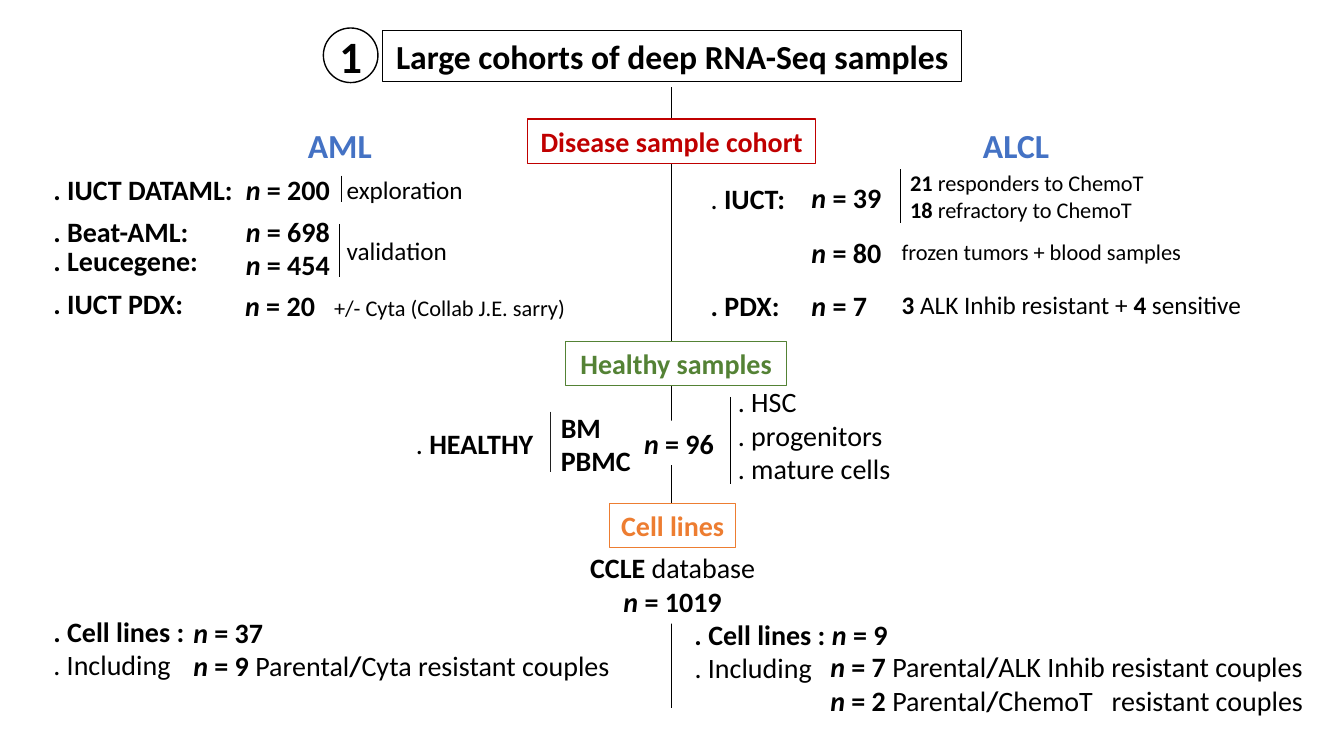
"""Build a slide that summarises RNA-Seq cohorts for AML and ALCL."""
from lxml import etree
from pptx import Presentation
from pptx.dml.color import RGBColor
from pptx.enum.shapes import MSO_CONNECTOR, MSO_SHAPE
from pptx.enum.text import MSO_ANCHOR, MSO_AUTO_SIZE, PP_ALIGN
from pptx.oxml.ns import qn
from pptx.util import Pt

LEFT, CENTER = PP_ALIGN.LEFT, PP_ALIGN.CENTER
MIDDLE = MSO_ANCHOR.MIDDLE
NO_AUTOFIT = MSO_AUTO_SIZE.NONE
OVAL = MSO_SHAPE.OVAL
STRAIGHT = MSO_CONNECTOR.STRAIGHT
FONT = "Calibri"
LINE_HEIGHT = 1.22
COLORS = {
    "black": "000000", "white": "FFFFFF", "blue": "4472C4",
    "red": "C00000", "green": "548235", "orange": "ED7D31",
}


def rgb(name):
    """Look up a named colour."""
    return RGBColor.from_string(COLORS[name])


def write(text, left, top, width, size=20, color="black", align=LEFT, gap=0,
          fill=None, outline=None, shape=None, tab=None):
    """Write text where * toggles bold and _ toggles italic."""
    lines = text.split("\n")
    if shape is None:
        shape = slide.shapes.add_textbox(0, 0, 0, 0)
    height = len(lines) * size * LINE_HEIGHT + (len(lines) - 1) * gap + 7.2
    shape.left, shape.top = Pt(left), Pt(top)
    shape.width, shape.height = Pt(width), Pt(height)
    if fill:
        shape.fill.solid()
        shape.fill.fore_color.rgb = rgb(fill)
    if outline:
        shape.line.color.rgb = rgb(outline)
        shape.line.width = Pt(0.75)
    frame = shape.text_frame
    frame.word_wrap = True
    frame.auto_size = NO_AUTOFIT
    frame.vertical_anchor = MIDDLE
    for number, line in enumerate(lines):
        paragraph = frame.add_paragraph() if number else frame.paragraphs[0]
        paragraph.alignment = align
        paragraph.line_spacing = 1.0
        paragraph.space_before = Pt(0)
        paragraph.space_after = Pt(gap if number < len(lines) - 1 else 0)
        if tab:
            properties = paragraph._p.get_or_add_pPr()
            stops = etree.SubElement(properties, qn("a:tabLst"))
            etree.SubElement(stops, qn("a:tab"), pos=str(Pt(tab)), algn="l")
        for bold_index, chunk in enumerate(line.split("*")):
            for italic_index, piece in enumerate(chunk.split("_")):
                if piece:
                    run = paragraph.add_run()
                    run.text = piece
                    run.font.name = FONT
                    run.font.size = Pt(size)
                    run.font.bold = bold_index % 2 == 1
                    run.font.italic = italic_index % 2 == 1
                    run.font.color.rgb = rgb(color)


presentation = Presentation()
presentation.slide_width, presentation.slide_height = Pt(960), Pt(540)
slide = presentation.slides.add_slide(presentation.slide_layouts[5])

write("*Large cohorts of deep RNA-Seq samples*", 273.5, 21.5, 413.5, size=24,
      align=CENTER, fill="white", outline="black", shape=slide.shapes.title)

dividers = [
    (479.5, 62.5, 506), (242.5, 160, 198), (243.5, 125.5, 144.5),
    (521.5, 283.5, 345.5), (643, 121, 159), (393, 294, 337.5),
]
for x, top, bottom in dividers:
    divider = slide.shapes.add_connector(STRAIGHT, Pt(x), Pt(top), Pt(x), Pt(bottom))
    divider.line.color.rgb = rgb("black")
    divider.line.width = Pt(0.5)
    etree.SubElement(divider._element.spPr, qn("a:effectLst"))

badge = slide.shapes.add_shape(OVAL, Pt(231), Pt(20), Pt(39), Pt(39))
badge.shadow.inherit = False
badge.fill.background()
badge.line.color.rgb = rgb("black")
badge.line.width = Pt(1)
badge_frame = badge.text_frame
badge_frame.margin_left = badge_frame.margin_right = 0
badge_frame.margin_top = badge_frame.margin_bottom = 0
badge_frame.vertical_anchor = MIDDLE
badge_paragraph = badge_frame.paragraphs[0]
badge_paragraph.alignment = CENTER
badge_paragraph.text = "1"
badge_paragraph.font.name = FONT
badge_paragraph.font.size = Pt(32)
badge_paragraph.font.bold = True
badge_paragraph.font.color.rgb = rgb("black")

for heading, left, width in [("*AML*", 211.5, 62.5), ("*ALCL*", 694, 63.5)]:
    write(heading, left, 85.5, width, size=24, color="blue", align=CENTER)

sections = [
    ("*Disease sample cohort*", 377, 85, 205.5, "red"),
    ("*Healthy samples*", 404, 244, 158, "green"),
    ("*Cell lines*", 435.5, 359.5, 90, "orange"),
]
write("*CCLE *database\n*_n_ = 1019*", 331, 389.5, 299, align=CENTER, fill="white")
for section, left, top, width, color in sections:
    write(section, left, top, width, color=color, align=CENTER,
          fill="white", outline=color)

healthy_labels = [
    (". *HEALTHY*", 290, 301, 102), ("*BM\n*PBMC*".replace("BM\n*", "BM*\n*"), 393.5, 289, 67),
    ("*_n_ = 96*", 453, 300.5, 66),
]
for label, left, top, width in healthy_labels:
    write(label, left, top, width, fill="white")

labels = [
    ("*. IUCT DATAML:*\n*. Beat-AML:*", 31, 119.5, 146, 20, 6),
    ("*_n_ = 200*\n*_n_ = 698*", 168.5, 119.5, 77, 20, 6),
    ("*. Leucegene:*", 31, 170, 124, 20, 0),
    ("*_n_ = 454*", 168.5, 173, 77, 20, 0),
    ("*. IUCT PDX:*", 31, 201, 130, 20, 0),
    ("*_n_ = 20*", 168, 202.5, 70, 20, 0),
    ("+/- Cyta (Collab J.E. sarry)", 231.5, 206, 190, 16, 0),
    ("exploration", 240.5, 120.5, 101, 18, 0),
    ("validation", 240.5, 164, 90, 18, 0),
    (". *IUCT:*", 500.5, 125.5, 72, 20, 0),
    ("*. PDX:*", 500.5, 202.5, 67, 20, 0),
    ("*_n_ = 39*", 572.5, 125, 68, 20, 0),
    ("*_n_ = 80*", 572.5, 164.5, 68, 20, 0),
    ("*_n_ = 7*", 572.5, 202.5, 60, 20, 0),
    ("*21 *responders to ChemoT\n*18 *refractory to ChemoT", 643, 117, 187, 16, 0),
    ("frozen tumors + blood samples", 637, 166.5, 220, 16, 0),
    ("*3* ALK Inhib resistant + *4* sensitive", 637, 203, 265, 18, 0),
    (". HSC\n. progenitors\n. mature cells", 520, 270.5, 128, 20, 0),
    ("*. Cell lines :*", 31, 435, 193, 20, 0),
    (". Including", 31, 459, 101, 20, 0),
    ("*_n_ = 37*", 131, 435.5, 70, 20, 0),
    ("*_n_ = 9 *Parental*/*Cyta resistant couples", 131, 459.5, 325, 20, 0),
    ("*. Cell lines : _n_ = 9*", 489, 437, 160, 20, 0),
    (". Including", 489, 461, 99, 20, 0),
]
for label, left, top, width, size, gap in labels:
    write(label, left, top, width, size=size, gap=gap)

write("*_n_ = 7* Parental*/*ALK Inhib resistant couples\n"
      "*_n_ = 2* Parental*/*ChemoT\tresistant couples",
      586, 460, 365, tab=201)

presentation.save("out.pptx")
